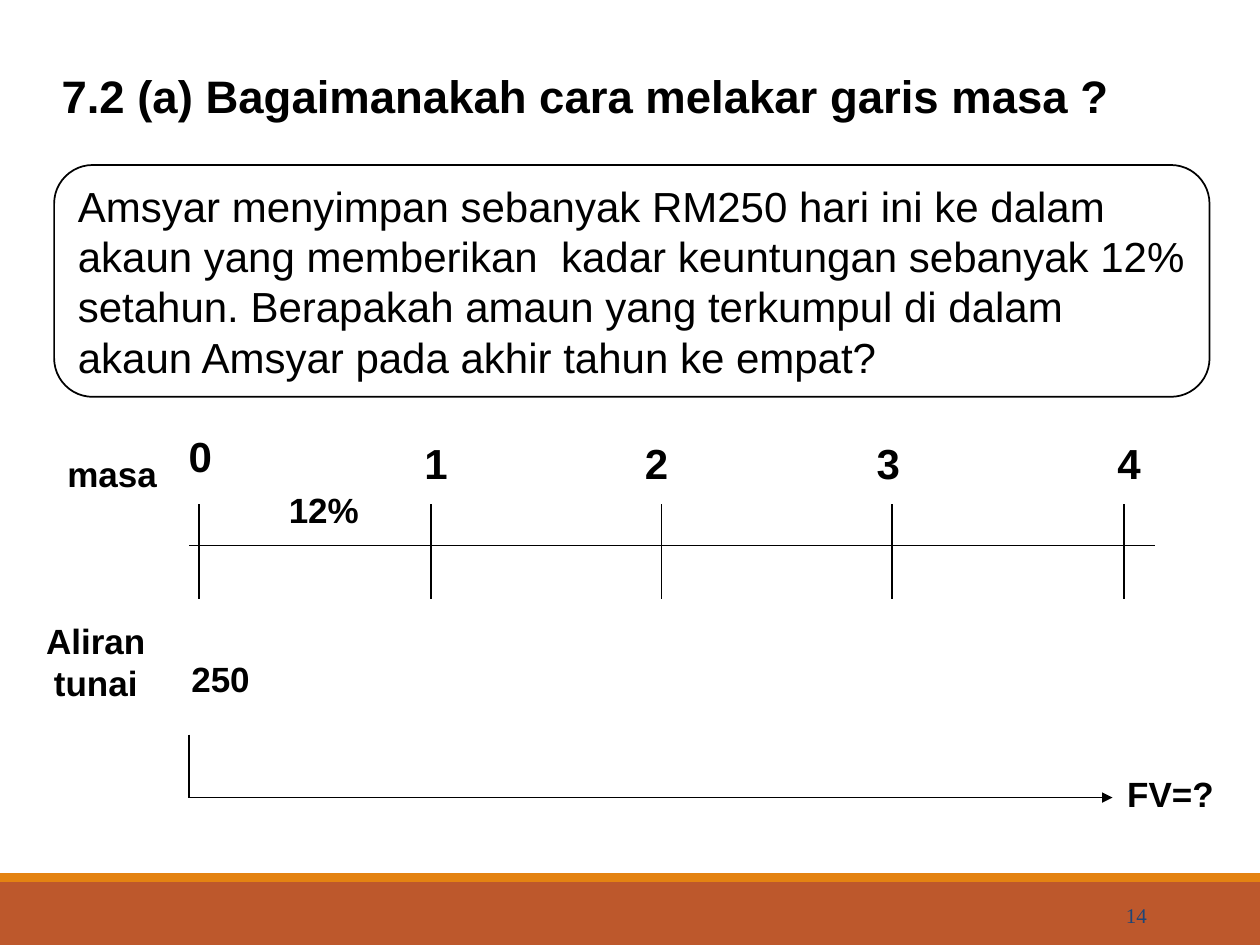
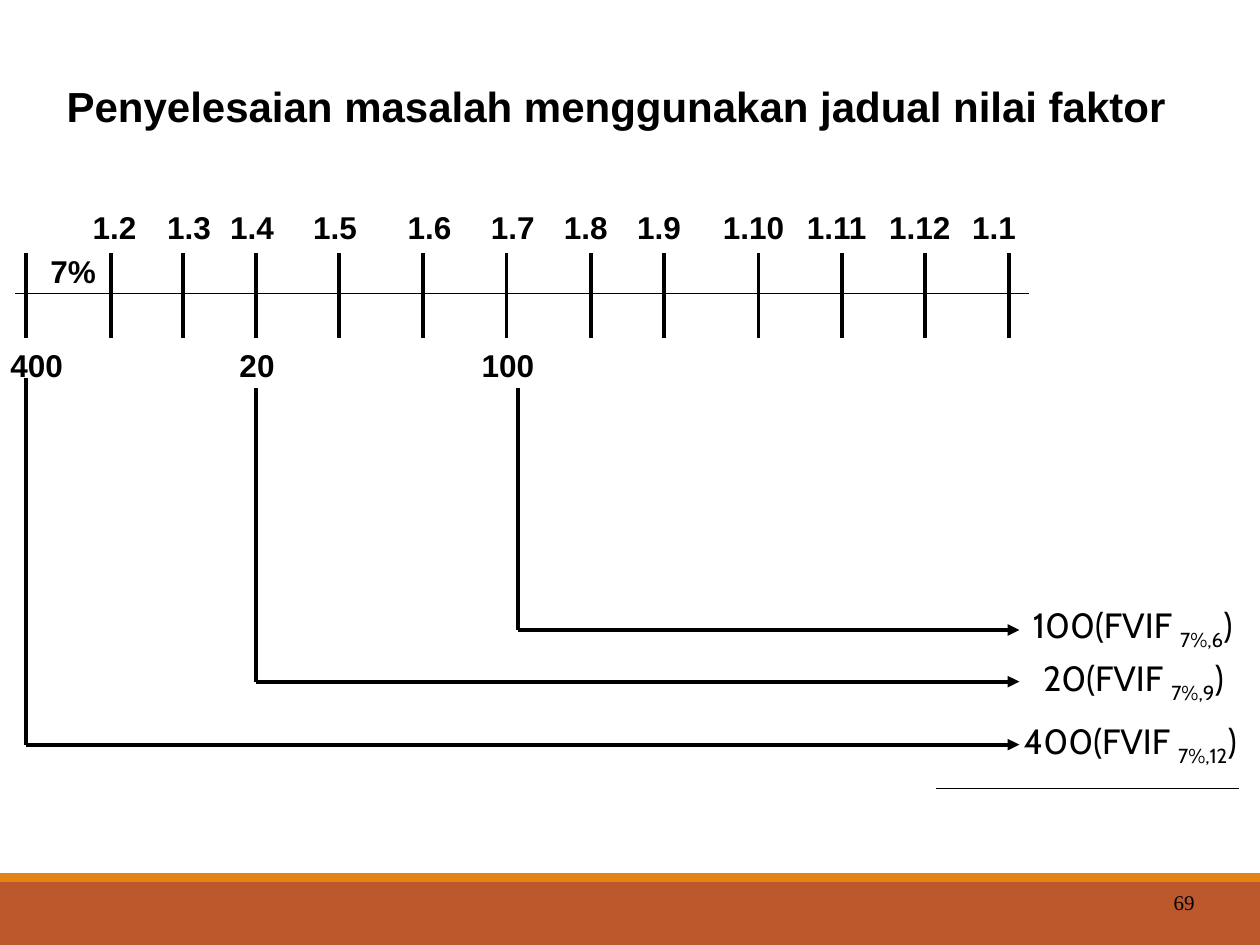
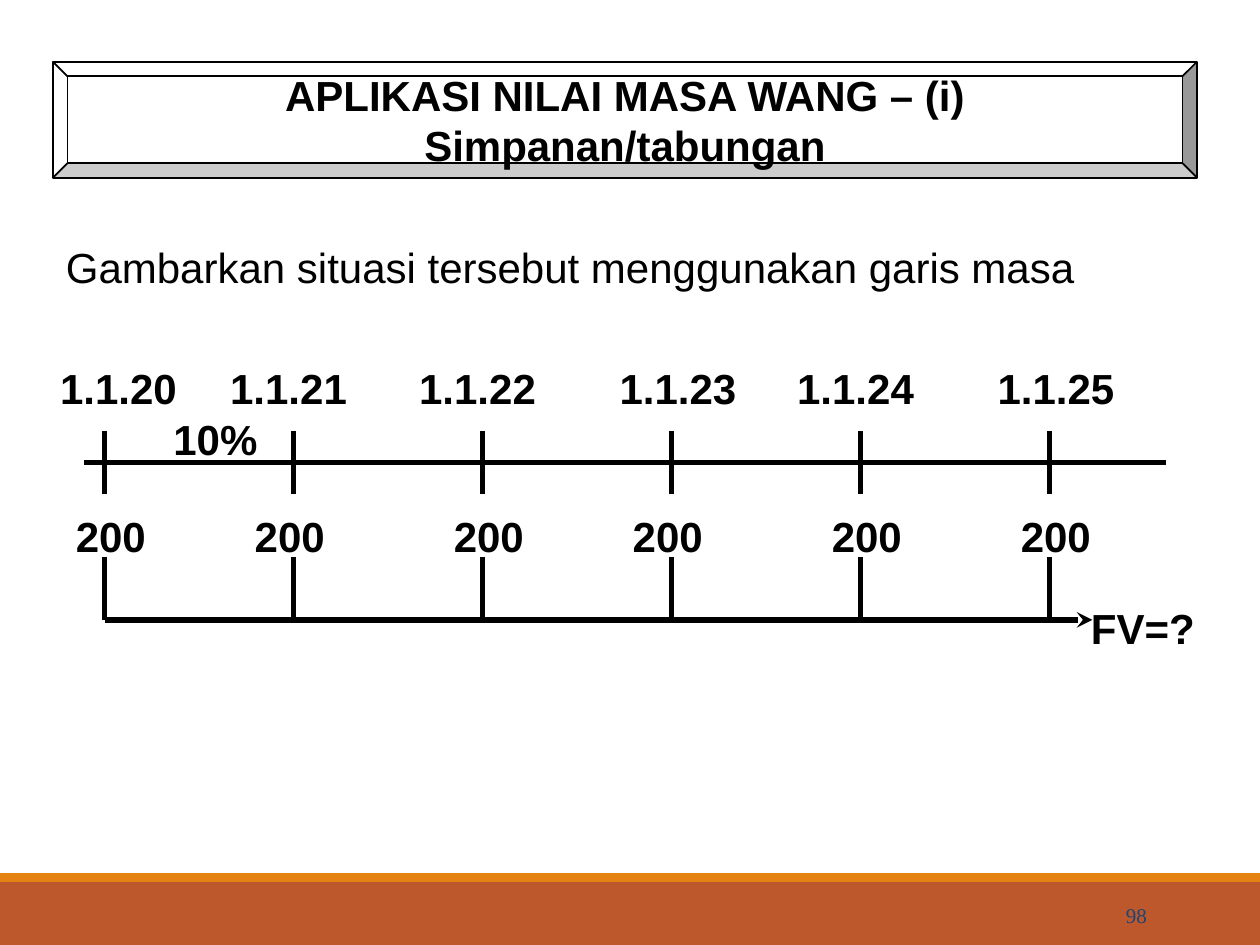
from lxml import etree
from pptx import Presentation
from pptx import util as u
from pptx.dml.color import RGBColor
from pptx.enum import shapes, text
from pptx.oxml.ns import qn

INK, PAPER, NAVY = "000000", "FFFFFF", "1D4577"
BANDS = [(7, 0.5, "BD582C"), (6.93, 0.07, "E48312")]
LEFT, MID = text.PP_ALIGN.LEFT, text.PP_ALIGN.CENTER
RIGHT, FULL = text.PP_ALIGN.RIGHT, text.PP_ALIGN.JUSTIFY
BOX = shapes.MSO_SHAPE

# Arial Bold advance widths in ems; digits and most small letters share one
EMS = {".": 0.28, "%": 0.89, "m": 0.89, "F": 0.61, "V": 0.67, "=": 0.58,
       "?": 0.61, "A": 0.72, "l": 0.28, "i": 0.28, "r": 0.39}
DIGIT = 0.556

# Labels are (text, centre, top)
SAVING = {
    "title": "7.2 (a) Bagaimanakah cara melakar garis masa ?",
    "case": "Amsyar menyimpan sebanyak RM250 hari ini ke dalam akaun yang "
            "memberikan  kadar keuntungan sebanyak 12% setahun. Berapakah amaun "
            "yang terkumpul di dalam akaun Amsyar pada akhir tahun ke empat?",
    "ticks": [1.58, 3.42, 5.25, 7.08, 8.92],
    "years": [("0", 1.59, 3.37), ("1", 3.46, 3.42), ("2", 5.21, 3.42),
              ("3", 7.05, 3.42), ("4", 8.96, 3.42)],
    "notes": [("masa", 0.89, 3.54), ("Aliran\ntunai", 0.76, 4.87),
              ("250", 1.75, 5.17), ("FV=?", 9.29, 6.08), ("12%", 2.57, 3.83)],
}
FACTOR = {
    "title": "Penyelesaian masalah menggunakan jadual nilai faktor",
    "ticks": [0.21, 0.88, 1.45, 2.03, 2.69, 3.36, 4.02, 4.69, 5.27, 6.02,
              6.68, 7.34, 8.01],
    "dates": [("1.2", 0.91), ("1.3", 1.5), ("1.4", 2), ("1.5", 2.66),
              ("1.6", 3.41), ("1.7", 4.07), ("1.8", 4.65), ("1.9", 5.23),
              ("1.10", 5.98), ("1.11", 6.64), ("1.12", 7.3), ("1.1", 7.89)],
    "notes": [("7%", 0.58, 1.95), ("400", 0.29, 2.7), ("20", 2.04, 2.7),
              ("100", 4.03, 2.7)],
    # start x, start y, end y
    "flows": [(0.21, 3, 5.91), (2.03, 3.08, 5.41), (4.11, 3.08, 5)],
    # amount, period, left, top, width
    "sums": [("100", "6", 8.01, 4.74, 1.96), ("20", "9", 8.09, 5.16, 1.81),
             ("400", "12", 7.94, 5.66, 2.06)],
}
YEARLY = {
    "title": "APLIKASI NILAI MASA WANG – (i) Simpanan/tabungan",
    "task": "Gambarkan situasi tersebut menggunakan garis masa",
    "ticks": [0.83 + 1.5 * i for i in range(6)],
    "dates": [0.94, 2.29, 3.79, 5.38, 6.79, 8.38],
    "pays": [0.88, 2.3, 3.88, 5.3, 6.88, 8.38],
    "notes": [("10%", 1.71, 3.23), ("FV=?", 9.07, 4.73)],
}


def color(code):
    return RGBColor.from_string(code)


def style(par, size, bold=False, align=LEFT, face="Arial", ink=INK):
    par.alignment = align
    font = par.font
    font.name, font.size, font.bold = face, u.Pt(size), bold
    font.color.rgb = color(ink)


def block(slide, kind, at, fill, edge=None):
    shape = slide.shapes.add_shape(kind, *map(u.Inches, at))
    shape.shadow.inherit = False
    shape.fill.solid()
    shape.fill.fore_color.rgb = color(fill)
    if edge:
        shape.line.color.rgb = color(edge)
        shape.line.width = u.Pt(1)
    else:
        shape.line.fill.background()
    return shape


def write(shape, words, size, wrap=True, mid=False, **look):
    frame = shape.text_frame
    frame.word_wrap = wrap
    frame.vertical_anchor = text.MSO_ANCHOR.MIDDLE if mid else text.MSO_ANCHOR.TOP
    for i, line in enumerate(words.split("\n")):
        par = frame.add_paragraph() if i else frame.paragraphs[0]
        par.text = line
        style(par, size, **look)


def area(slide, at, fill=None):
    """Text box, or a filled rectangle when a fill is given."""
    if fill:
        return block(slide, BOX.RECTANGLE, at, fill)
    return slide.shapes.add_textbox(*map(u.Inches, at))


def label(slide, words, mid, top, size, fill=None):
    """Bold text centred on mid, in a box just as wide as its longest line."""
    lines = words.split("\n")
    ems = max(sum(EMS.get(c, DIGIT) for c in line) for line in lines)
    wide = 0.2 + ems * size / 72
    tall = 0.1 + len(lines) * size / 60
    write(area(slide, (mid - wide / 2, top, wide, tall), fill), words, size,
          wrap=False, bold=True, align=MID)


def rule(slide, x1, y1, x2, y2, width, head=None):
    line = slide.shapes.add_connector(
        shapes.MSO_CONNECTOR.STRAIGHT, *map(u.Inches, (x1, y1, x2, y2)))
    line.line.color.rgb = color(INK)
    line.line.width = u.Pt(width)
    if head:
        etree.SubElement(line.line._get_or_add_ln(), qn("a:tailEnd"), type=head)
    etree.SubElement(line._element.spPr, qn("a:effectLst"))


def ticks(slide, spots, top, low, width):
    for x in spots:
        rule(slide, x, top, x, low, width)


def flow(slide, x, top, low, end, width, head="triangle"):
    """Line down from a payment, then an arrow to the right."""
    rule(slide, x, top, x, low, width)
    rule(slide, x, low, end, low, width, head)


def start(deck, number, at, ink=NAVY):
    """New slide with the bottom bands and its page number."""
    slide = deck.slides.add_slide(deck.slide_layouts[6])
    for top, tall, fill in BANDS:
        block(slide, BOX.RECTANGLE, (0, top, 10, tall), fill)
    write(area(slide, at), number, 12, mid=True, align=RIGHT,
          face="Times New Roman", ink=ink)
    return slide


def saving(deck, page):
    slide = start(deck, "14", page)
    case = block(slide, BOX.ROUNDED_RECTANGLE, (0.43, 1.31, 9.17, 1.84), PAPER, INK)
    write(case, SAVING["case"], 24, mid=True)
    write(area(slide, (0.39, 0.49, 9.17, 0.54), PAPER), SAVING["title"], 26,
          bold=True)
    rule(slide, 1.5, 4.33, 9.17, 4.33, 1)
    ticks(slide, SAVING["ticks"], 4, 4.75, 1)
    for part, size in (("years", 24), ("notes", 20)):
        for item in SAVING[part]:
            label(slide, *item, size, PAPER)
    flow(slide, 1.5, 5.83, 6.33, 8.83, 1)


def factor(deck):
    slide = start(deck, "69", (7.25, 6.96, 2.33, 0.4), INK)
    write(area(slide, (0.43, 0.59, 9.29, 0.5)), FACTOR["title"], 24,
          bold=True, align=FULL)
    ticks(slide, FACTOR["ticks"], 2.01, 2.68, 2.25)
    rule(slide, 0.12, 2.33, 8.17, 2.33, 0.75)
    for date, mid in FACTOR["dates"]:
        label(slide, date, mid, 1.6, 18)
    for item in FACTOR["notes"]:
        label(slide, *item, 18)
    for x, top, low in FACTOR["flows"]:
        flow(slide, x, top, low, 8.09, 2.25)
    rule(slide, 7.43, 6.26, 9.83, 6.26, 0.75)
    for amount, period, left, top, wide in FACTOR["sums"]:
        frame = area(slide, (left, top, wide, 0.44)).text_frame
        frame.word_wrap = False
        par = frame.paragraphs[0]
        style(par, 20, align=MID, face="Cabin")
        runs = [par.add_run() for _ in range(3)]
        for run, words in zip(runs, (f"{amount}(FVIF ", f"7%,{period}", ")")):
            run.text = words
        runs[1]._r.get_or_add_rPr().set("baseline", "-25000")


def yearly(deck, page):
    slide = start(deck, "98", page)
    title = block(slide, BOX.BEVEL, (0.42, 0.49, 9.08, 0.92), PAPER, INK)
    write(title, YEARLY["title"], 24, mid=True, bold=True, align=MID)
    write(area(slide, (0.38, 1.87, 8.29, 0.5)), YEARLY["task"], 24, align=MID)
    rule(slide, 0.67, 3.67, 9.25, 3.67, 3)
    spots = YEARLY["ticks"]
    ticks(slide, spots, 3.42, 3.92, 3)
    for i, (date, pay) in enumerate(zip(YEARLY["dates"], YEARLY["pays"])):
        label(slide, f"1.1.{20 + i}", date, 2.83, 24)
        label(slide, "200", pay, 4, 24)
    for item in YEARLY["notes"]:
        label(slide, *item, 24)
    flow(slide, spots[0], 4.42, 4.92, 8.67, 3, "stealth")
    ticks(slide, spots[1:], 4.42, 4.92, 3)


def main():
    deck = Presentation()
    deck.slide_width, deck.slide_height = u.Inches(10), u.Inches(7.5)
    page = (8.12, 7.06, 1.08, 0.4)
    saving(deck, page)
    factor(deck)
    yearly(deck, page)
    deck.save("out.pptx")


if __name__ == "__main__":
    main()
